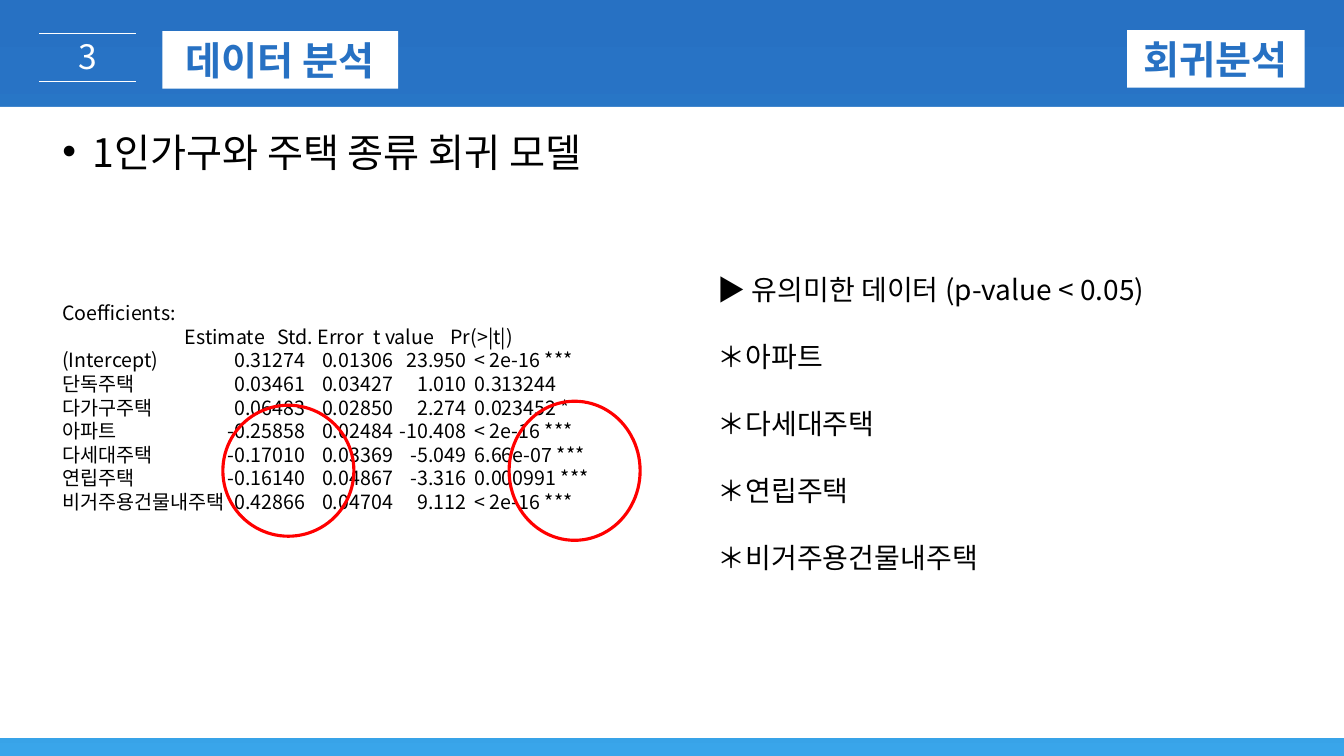
from copy import deepcopy

from lxml.etree import SubElement
from pptx import Presentation
from pptx.dml.color import RGBColor
from pptx.enum.shapes import MSO_CONNECTOR, MSO_SHAPE
from pptx.enum.text import MSO_ANCHOR, PP_ALIGN
from pptx.oxml.ns import qn
from pptx.util import Inches, Pt

THEME = {
    "font": "Noto Sans CJK KR",
    "blue": RGBColor.from_string("2771C3"),
    "white": RGBColor.from_string("FFFFFF"),
    "black": RGBColor.from_string("000000"),
    "red": RGBColor.from_string("FF0000"),
    "gradient": [(0, "2771C3"), (0.75, "2F8AD5"), (1, "39A5EA")],
    "heading": 28, "number": 24, "finding": 20, "output": 14,
    "leading": 1.2,
}

deck = Presentation()
deck.slide_width, deck.slide_height = Inches(13.33), Inches(7.5)
slide = deck.slides.add_slide(deck.slide_layouts[6])


def area(left, top, width, height):
    """Turn percentages of the slide's size into lengths."""
    across, down = deck.slide_width / 100, deck.slide_height / 100
    return [round(n) for n in (left * across, top * down, width * across, height * down)]


def write(holder, lines, size, color, align=PP_ALIGN.LEFT, bold=False, gap=0):
    """Fill a shape with one paragraph per line and format it."""
    frame = holder.text_frame
    frame.word_wrap = True
    frame.text = "\n".join(lines)
    for index, paragraph in enumerate(frame.paragraphs):
        paragraph.alignment = align
        paragraph.line_spacing = Pt(size * THEME["leading"])
        paragraph.space_before = Pt(gap if index else 0)
        for run in paragraph.runs:
            run.font.name = THEME["font"]
            run.font.size = Pt(size)
            run.font.bold = bold
            run.font.color.rgb = color
            SubElement(run.font._element, qn("a:ea"), typeface=THEME["font"])
    return frame


# Background gradient, dark at the top
backdrop = slide.background.fill
backdrop.gradient()
backdrop.gradient_angle = 270
stop_list = slide._element.find(".//" + qn("a:gsLst"))
stop_list.append(deepcopy(stop_list[-1]))
for stop, (position, color) in zip(backdrop.gradient_stops, THEME["gradient"]):
    stop.position = position
    stop.color.rgb = RGBColor.from_string(color)

# Section number between two rules
number = slide.shapes.add_textbox(*area(4.95, 4.13, 3.22, 6.67))
number_frame = write(number, ["3"], THEME["number"], THEME["white"], PP_ALIGN.CENTER)
number_frame.word_wrap = False
number_frame.paragraphs[0].runs[0].font._element.set("spc", "300")
for rule_top in (4.4, 10.8):
    left, top, width, _ = area(2.93, rule_top, 7.2, 0)
    rule = slide.shapes.add_connector(MSO_CONNECTOR.STRAIGHT, left, top, left + width, top)
    rule.line.color.rgb = THEME["white"]
    rule.line.width = Pt(0.25)
    SubElement(rule._element.spPr, qn("a:effectLst"))

# White content panel
panel = slide.shapes.add_shape(MSO_SHAPE.RECTANGLE, *area(0, 14.13, 100, 83.47))
panel.shadow.inherit = False
panel.fill.solid()
panel.fill.fore_color.rgb = THEME["white"]
panel.line.fill.background()

# Bulleted topic
topic = slide.shapes.add_textbox(*area(3.9, 16.27, 92.25, 7.6))
topic_frame = write(topic, ["1인가구와 주택 종류 회귀 모델"], THEME["heading"], THEME["black"])
topic_props = topic_frame.paragraphs[0]._p.get_or_add_pPr()
topic_props.set("marL", str(Inches(0.3)))
topic_props.set("indent", str(Inches(-0.3)))
SubElement(topic_props, qn("a:buFont"), typeface="Arial")
SubElement(topic_props, qn("a:buChar"), char="•")

# Regression output, lined up with tab stops
coefficients = [
    ("Coefficients:",),
    ("", "Estimate", "Std. Error", "t value", "Pr(>|t|)"),
    ("(Intercept)", "0.31274", "0.01306", "23.950", "< 2e-16 ***"),
    ("단독주택", "0.03461", "0.03427", "1.010", "0.313244"),
    ("다가구주택", "0.06483", "0.02850", "2.274", "0.023452 *"),
    ("아파트", "-0.25858", "0.02484", "-10.408", "< 2e-16 ***"),
    ("다세대주택", "-0.17010", "0.03369", "-5.049", "6.66e-07 ***"),
    ("연립주택", "-0.16140", "0.04867", "-3.316", "0.000991 ***"),
    ("비거주용건물내주택", "0.42866", "0.04704", "9.112", "< 2e-16 ***"),
]
header_stops = (2.01, 2.99, 3.69, 3.85)
value_stops = (2.41, 3.28, 4.01, 4.09)
output = slide.shapes.add_textbox(*area(3.9, 39.2, 45.15, 29.6))
output_frame = write(output, ["\t".join(row) for row in coefficients],
                     THEME["output"], THEME["black"])
for index, paragraph in enumerate(output_frame.paragraphs[1:]):
    tabs = SubElement(paragraph._p.get_or_add_pPr(), qn("a:tabLst"))
    stops = value_stops if index else header_stops
    for stop, side in zip(stops, ("r", "r", "r", "l")):
        SubElement(tabs, qn("a:tab"), pos=str(Inches(stop)), algn=side)

# Significant variables
significant = ["아파트", "다세대주택", "연립주택", "비거주용건물내주택"]
findings = slide.shapes.add_textbox(*area(52.65, 35.33, 42.08, 46.27))
write(findings, ["▶ 유의미한 데이터 (p-value < 0.05)"] + ["＊" + name for name in significant],
      THEME["finding"], THEME["black"], gap=THEME["finding"] * THEME["leading"])

# Heading tags
for heading, place in (("데이터 분석", (12.08, 4.13, 17.55, 7.6)),
                       ("회귀분석", (83.87, 4, 13.2, 7.6))):
    tag = slide.shapes.add_shape(MSO_SHAPE.RECTANGLE, *area(*place))
    tag.shadow.inherit = False
    tag.fill.solid()
    tag.fill.fore_color.rgb = THEME["white"]
    tag.line.fill.background()
    tag_frame = write(tag, [heading], THEME["heading"], THEME["blue"], PP_ALIGN.CENTER, bold=True)
    tag_frame.vertical_anchor = MSO_ANCHOR.MIDDLE

# Red rings around p-values and estimates
for place in ((37.88, 53.07, 9.75, 18.4), (16.58, 53.6, 9.75, 17.33)):
    ring = slide.shapes.add_shape(MSO_SHAPE.OVAL, *area(*place))
    ring.shadow.inherit = False
    ring.fill.background()
    ring.line.color.rgb = THEME["red"]
    ring.line.width = Pt(2.25)

deck.save("out.pptx")
